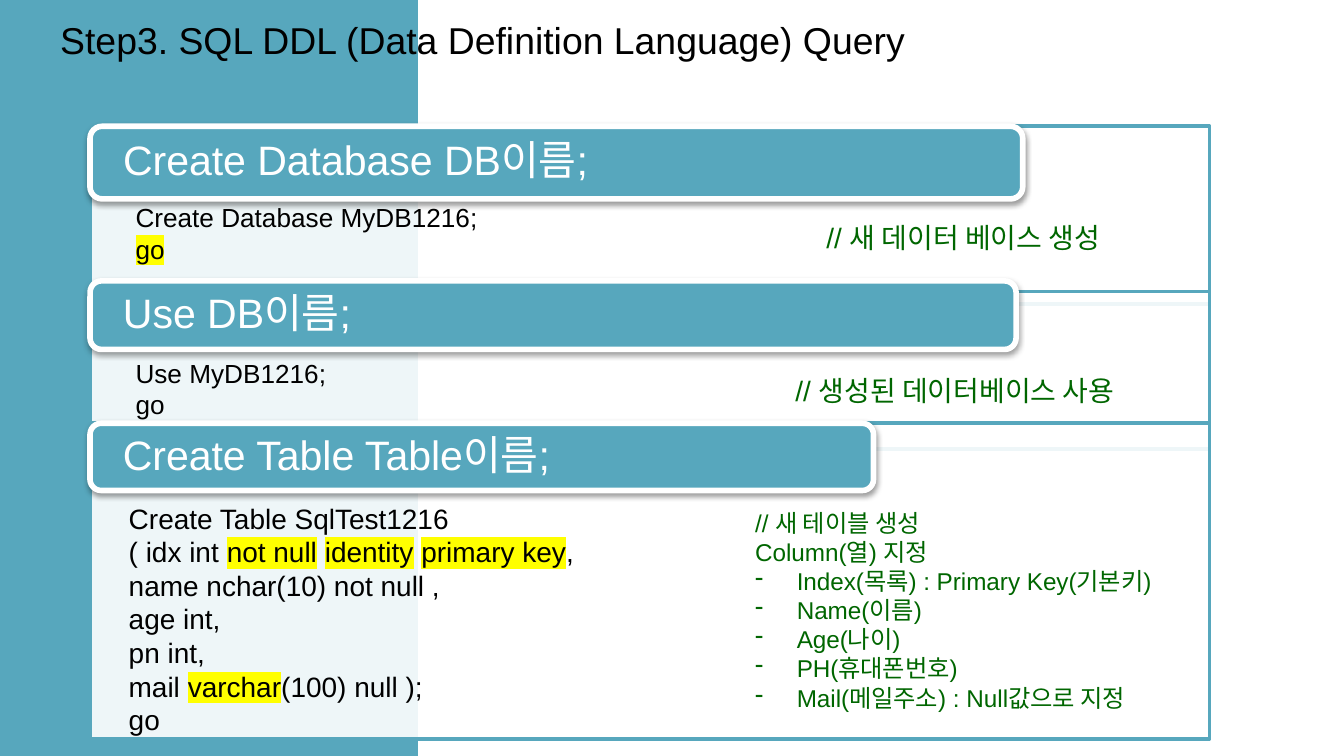
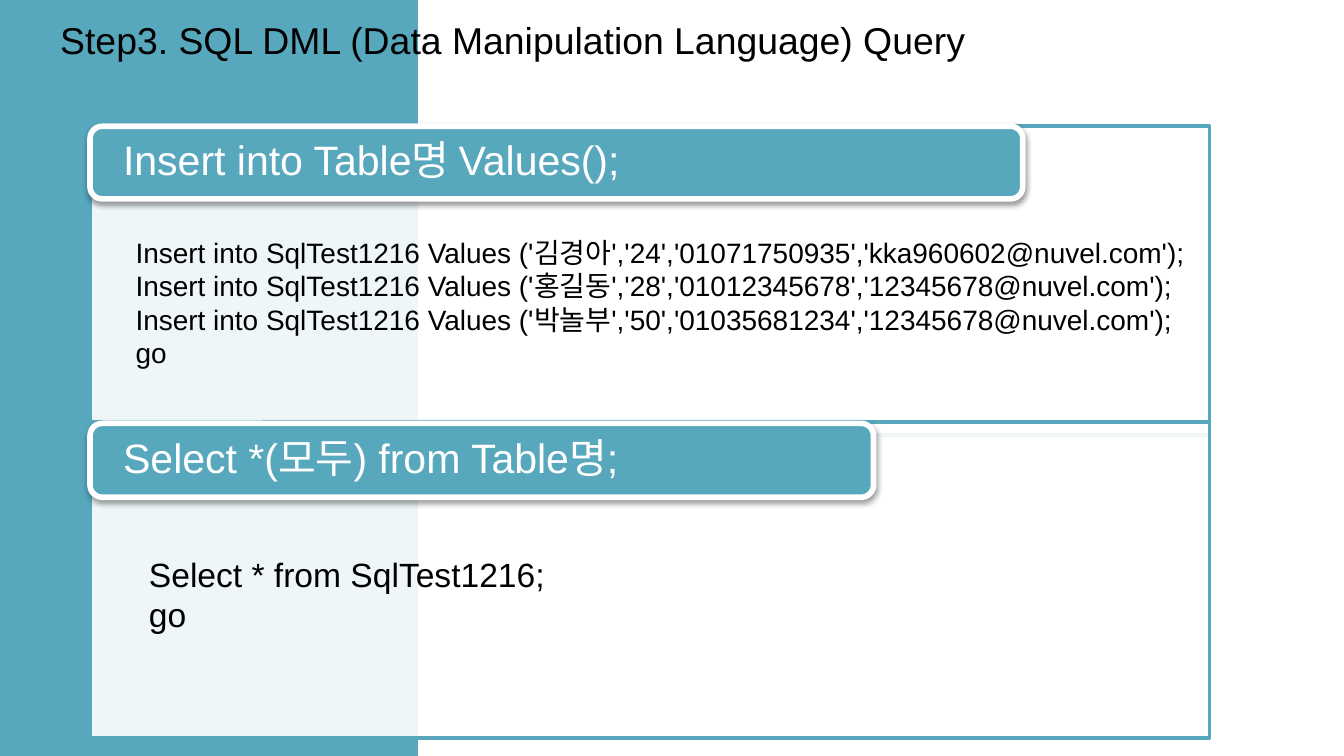
from dataclasses import dataclass

from lxml import etree
from pptx import Presentation
from pptx.dml.color import RGBColor
from pptx.enum import shapes, text
from pptx.oxml import ns
from pptx.util import Inches, Pt

# Square grid: 100 columns by 56.25 rows
SLIDE_WIDTH, SLIDE_HEIGHT = Inches(10), Inches(5.625)
COLUMNS, ROWS = 100, 56.25
CELL = SLIDE_WIDTH / COLUMNS

FONT = "Arial"
COLORS = {
    "teal": "57A7BD",
    "white": "FFFFFF",
    "code": "000000",
    "comment": "006600",
    "marker": "FFFF00",
}
PANEL_LEFT, PANEL_WIDTH = 6.7, 83.3
BULLET = "- "


@dataclass(frozen=True)
class Section:
    """A framed panel with a heading tab; lengths in grid cells."""
    heading: str
    top: float
    height: float
    tab_top: float
    tab_width: float
    tab_height: float


@dataclass(frozen=True)
class Note:
    """Lines of code or comment; text between bars is highlighted."""
    left: float
    top: float
    width: float
    height: float
    size: float
    lines: tuple[str, ...]
    color: str = "code"


@dataclass(frozen=True)
class Page:
    title: Note
    sections: tuple[Section, ...]
    notes: tuple[Note, ...]


def title_note(words: str, width: float) -> Note:
    return Note(3.5, 0.8, width, 4.4, 20, (words,))


PAGES = (
    Page(
        title_note("Step3. SQL DDL (Data Definition Language) Query", 84.3),
        (
            Section("Create Database DB이름;", 9.4, 13.2, 9.4, 69.4, 5.4),
            Section("Use DB이름;", 21.7, 11.7, 20.9, 68.9, 5.1),
            Section("Create Table Table이름;", 31.5, 23.5, 31.5, 58.3, 5),
        ),
        (
            Note(9.1, 14.5, 36.2, 5.9, 14, ("Create Database MyDB1216;", "|go|")),
            Note(9.1, 26.1, 16.8, 5.7, 14, ("Use MyDB1216;", "go")),
            Note(58.2, 27.3, 28.6, 3.5, 15, ("// 생성된 데이터베이스 사용",), "comment"),
            Note(8.6, 36.8, 39.6, 18.7, 15, (
                "Create Table SqlTest1216",
                "( idx int |not null| |identity| |primary key|,",
                "name nchar(10) not null ,",
                "age int,",
                "pn int,",
                "mail |varchar|(100) null );",
                "go",
            )),
            Note(55.2, 37.3, 36.2, 18.7, 13, (
                "// 새 테이블 생성",
                "Column(열) 지정",
                "- Index(목록) : Primary Key(기본키)",
                "- Name(이름)",
                "- Age(나이)",
                "- PH(휴대폰번호)",
                "- Mail(메일주소) : Null값으로 지정",
            ), "comment"),
            Note(60.5, 15.9, 24.4, 3.5, 15, ("// 새 데이터 베이스 생성",), "comment"),
        ),
    ),
    Page(
        title_note("Step3. SQL DML (Data Manipulation Language) Query", 95.3),
        (
            Section("Insert into Table명 Values();", 9.4, 23, 9.4, 69.4, 5.4),
            Section("Select *(모두) from Table명;", 31.4, 23.5, 31.5, 58.3, 5.5),
        ),
        (
            Note(10.1, 40.7, 31.8, 7.1, 18, ("Select * from SqlTest1216;", "go")),
            Note(9.1, 17, 90.9, 11.1, 15, (
                "Insert into SqlTest1216 Values ('김경아','24','01071750935','kka960602@nuvel.com');",
                "Insert into SqlTest1216 Values ('홍길동','28','01012345678','12345678@nuvel.com');",
                "Insert into SqlTest1216 Values ('박놀부','50','01035681234','12345678@nuvel.com');",
                "go",
            )),
        ),
    ),
)


def rgb(name: str) -> RGBColor:
    return RGBColor.from_string(COLORS[name])


def cells(*counts: float) -> list[int]:
    return [round(count * CELL) for count in counts]


def add_child(parent, tag: str, **attributes: str):
    return etree.SubElement(parent, ns.qn(tag), attributes)


def style_font(paragraph, size: float, color: str) -> None:
    paragraph.font.name = FONT
    paragraph.font.size = Pt(size)
    paragraph.font.color.rgb = rgb(color)


def add_box(slide, kind, place: tuple[float, ...], fill: str,
            line: str | None = None, line_width: float = 0):
    box = slide.shapes.add_shape(kind, *cells(*place))
    box.shadow.inherit = False
    box.fill.solid()
    box.fill.fore_color.rgb = rgb(fill)
    if line:
        box.line.color.rgb = rgb(line)
        box.line.width = Pt(line_width)
    else:
        box.line.fill.background()
    return box


def add_section(slide, section: Section) -> None:
    # Translucent panel
    panel = add_box(slide, shapes.MSO_SHAPE.RECTANGLE,
                    (PANEL_LEFT, section.top, PANEL_WIDTH, section.height),
                    "white", "teal", 2)
    panel_color = panel._element.spPr.find(ns.qn("a:solidFill"))[0]
    add_child(panel_color, "a:alpha", val="90000")

    # Heading tab with a soft shadow below
    tab = add_box(slide, shapes.MSO_SHAPE.ROUNDED_RECTANGLE,
                  (PANEL_LEFT, section.tab_top, section.tab_width, section.tab_height),
                  "teal", "white", 3)
    effects = tab._element.spPr.find(ns.qn("a:effectLst"))
    shadow = add_child(effects, "a:outerShdw", blurRad=str(Pt(3.1)), dist=str(Pt(1.6)),
                       dir="5400000", rotWithShape="0")
    shade = add_child(shadow, "a:srgbClr", val=COLORS["code"])
    add_child(shade, "a:alpha", val="38000")

    frame = tab.text_frame
    frame.word_wrap = True
    frame.vertical_anchor = text.MSO_ANCHOR.MIDDLE
    frame.margin_left = frame.margin_right = Inches(0.22)
    frame.margin_top = frame.margin_bottom = 0
    heading = frame.paragraphs[0]
    heading.text = section.heading
    heading.alignment = text.PP_ALIGN.LEFT
    heading.line_spacing = 0.9
    style_font(heading, 22, "white")


def add_note(slide, note: Note) -> None:
    frame = slide.shapes.add_textbox(
        *cells(note.left, note.top, note.width, note.height)).text_frame
    frame.word_wrap = True
    frame.auto_size = text.MSO_AUTO_SIZE.SHAPE_TO_FIT_TEXT
    for index, line in enumerate(note.lines):
        paragraph = frame.paragraphs[0] if index == 0 else frame.add_paragraph()
        if line.startswith(BULLET):
            indent = Inches(0.31)
            properties = paragraph._p.get_or_add_pPr()
            properties.set("marL", str(indent))
            properties.set("indent", str(-indent))
            add_child(properties, "a:buChar", char=BULLET.strip())
        style_font(paragraph, note.size, note.color)
        for part, words in enumerate(line.removeprefix(BULLET).split("|")):
            if not words:
                continue
            run = paragraph.add_run()
            run.text = words
            if part % 2:
                highlight = add_child(run._r.get_or_add_rPr(), "a:highlight")
                add_child(highlight, "a:srgbClr", val=COLORS["marker"])


def add_page(deck, page: Page) -> None:
    slide = deck.slides.add_slide(deck.slide_layouts[6])
    # Side band and title
    add_box(slide, shapes.MSO_SHAPE.RECTANGLE, (0, 0, 31.1, ROWS), "teal")
    add_note(slide, page.title)
    # Panels, then the code and comments on them
    for section in page.sections:
        add_section(slide, section)
    for note in page.notes:
        add_note(slide, note)


def main() -> None:
    deck = Presentation()
    deck.slide_width, deck.slide_height = SLIDE_WIDTH, SLIDE_HEIGHT
    for page in PAGES:
        add_page(deck, page)
    deck.save("out.pptx")


if __name__ == "__main__":
    main()
